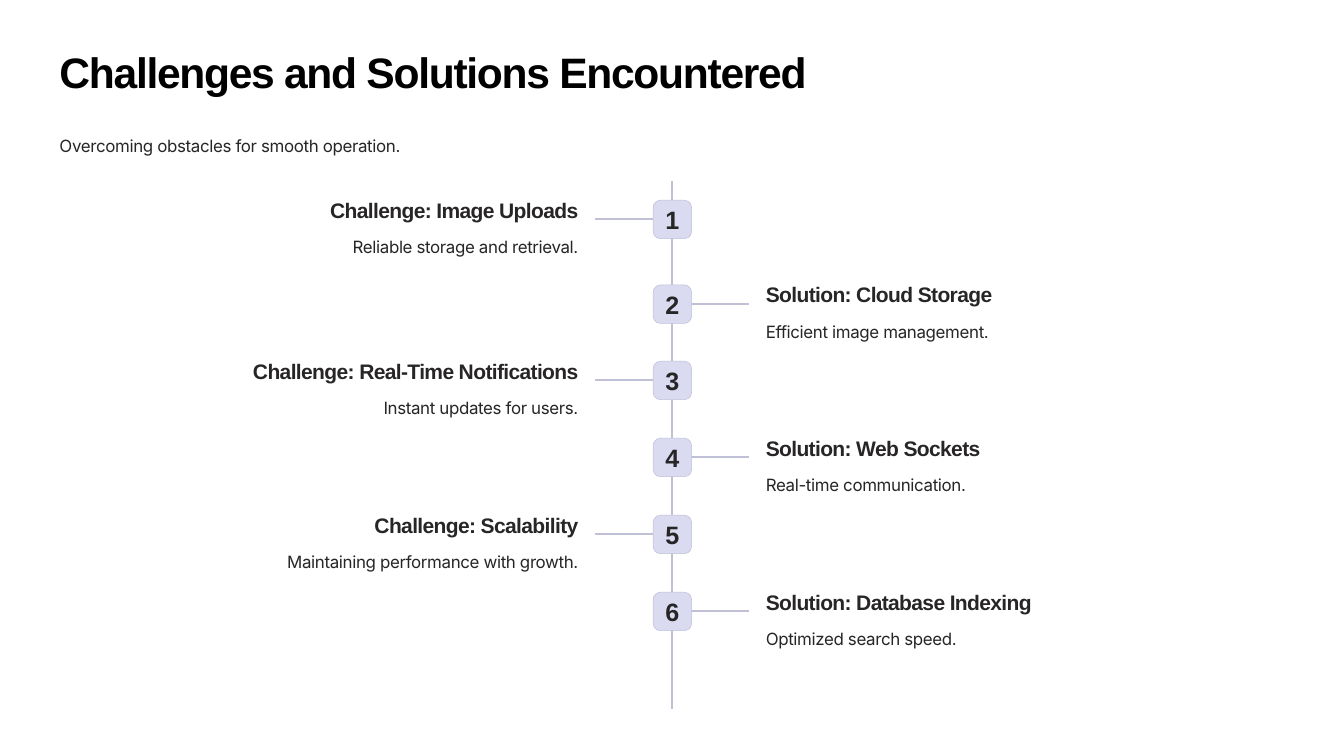
from lxml import etree
from pptx import Presentation
from pptx import util as u
from pptx.dml.color import RGBColor
from pptx.enum import shapes, text
from pptx.oxml.ns import qn

PX = 9525
HEX = {"page": "FFFFFF", "title": "000000", "ink": "272525", "rule": "C0C1D7", "badge": "DADBF1"}
ALIGN = text.PP_ALIGN
STYLES = {
    "title": ("Arial", 45.6, 56.9, -140, True, "title"),
    "label": ("Arial", 22.5, 28.1, -70, True, "ink"),
    "body": ("Inter", 18.1, 28.8, -40, False, "ink"),
    "number": ("Arial", 26.9, 26.9, -80, True, "ink"),
}
ITEMS = [
    ("Challenge: Image Uploads", 367, "Reliable storage and retrieval."),
    ("Solution: Cloud Storage", 330, "Efficient image management."),
    ("Challenge: Real-Time Notifications", 486, "Instant updates for users."),
    ("Solution: Web Sockets", 315, "Real-time communication."),
    ("Challenge: Scalability", 304, "Maintaining performance with growth."),
    ("Solution: Database Indexing", 392, "Optimized search speed."),
]


def color(name):
    return RGBColor.from_string(HEX[name])


def scale(*sizes):
    return [u.Emu(size * PX) for size in sizes]


def write(slide, box, words, style, align=ALIGN.LEFT):
    face, size, lead, track, bold, ink = STYLES[style]
    frame = slide.shapes.add_textbox(*scale(*box)).text_frame
    frame.word_wrap = True
    frame.margin_left = frame.margin_top = frame.margin_right = frame.margin_bottom = 0
    para = frame.paragraphs[0]
    para.alignment = align
    para.line_spacing = u.Pt(lead)
    run = para.add_run()
    run.text = words
    run.font.name = face
    run.font.size = u.Pt(size)
    run.font.bold = bold
    run.font.color.rgb = color(ink)
    run.font._element.set("spc", str(track))


def rule(slide, *ends):
    line = slide.shapes.add_connector(shapes.MSO_CONNECTOR.STRAIGHT, *scale(*ends))
    line.line.color.rgb = color("rule")
    line.line.width = u.Pt(2.5)
    etree.SubElement(line._element.spPr, qn("a:effectLst"))


def badge(slide, box, number):
    left, top, width, height = box
    shape = slide.shapes.add_shape(shapes.MSO_SHAPE.ROUNDED_RECTANGLE, *scale(*box))
    shape.adjustments[0] = 0.19
    shape.shadow.inherit = False
    shape.fill.solid()
    shape.fill.fore_color.rgb = color("badge")
    shape.line.color.rgb = color("rule")
    shape.line.width = u.Pt(0.6)
    write(slide, (left, top + 13, width, 33), str(number), "number", ALIGN.CENTER)


def header(slide, box):
    left, top, width, _ = box
    write(slide, (left, top, 1083, 80), "Challenges and Solutions Encountered", "title")
    write(slide, (left, top + 121, width, 46), "Overcoming obstacles for smooth operation.", "body")


def item(slide, box, number, label, wide, body):
    left, top, width, _ = box
    mid = left + width // 2
    row = top + 33
    if number % 2:
        rule(slide, mid - 110, row, mid - 24, row)
        edge, start, align = left, left + 741 - wide, ALIGN.RIGHT
    else:
        rule(slide, mid + 24, row, mid + 110, row)
        edge = start = left + width - 741
        align = ALIGN.LEFT
    badge(slide, (mid - 27, top + 6, 55, 55), number)
    write(slide, (start, top, wide, 41), label, "label", align)
    write(slide, (edge, top + 49, 741, 46), body, "body", align)


def timeline(slide, box):
    left, top, width, height = box
    mid = left + width // 2
    rule(slide, mid, top, mid, top + height)
    tops = [top + 22] + [top + 143 + 439 * step // 4 for step in range(5)]
    for number, (row, parts) in enumerate(zip(tops, ITEMS), 1):
        item(slide, (left, row, width, 95), number, *parts)


def main():
    deck = Presentation()
    deck.slide_width, deck.slide_height = scale(1920, 1080)
    slide = deck.slides.add_slide(deck.slide_layouts[6])
    slide.background.fill.solid()
    slide.background.fill.fore_color.rgb = color("page")
    header(slide, (85, 63, 1750, 167))
    timeline(slide, (85, 258, 1750, 755))
    deck.save("out.pptx")


if __name__ == "__main__":
    main()
